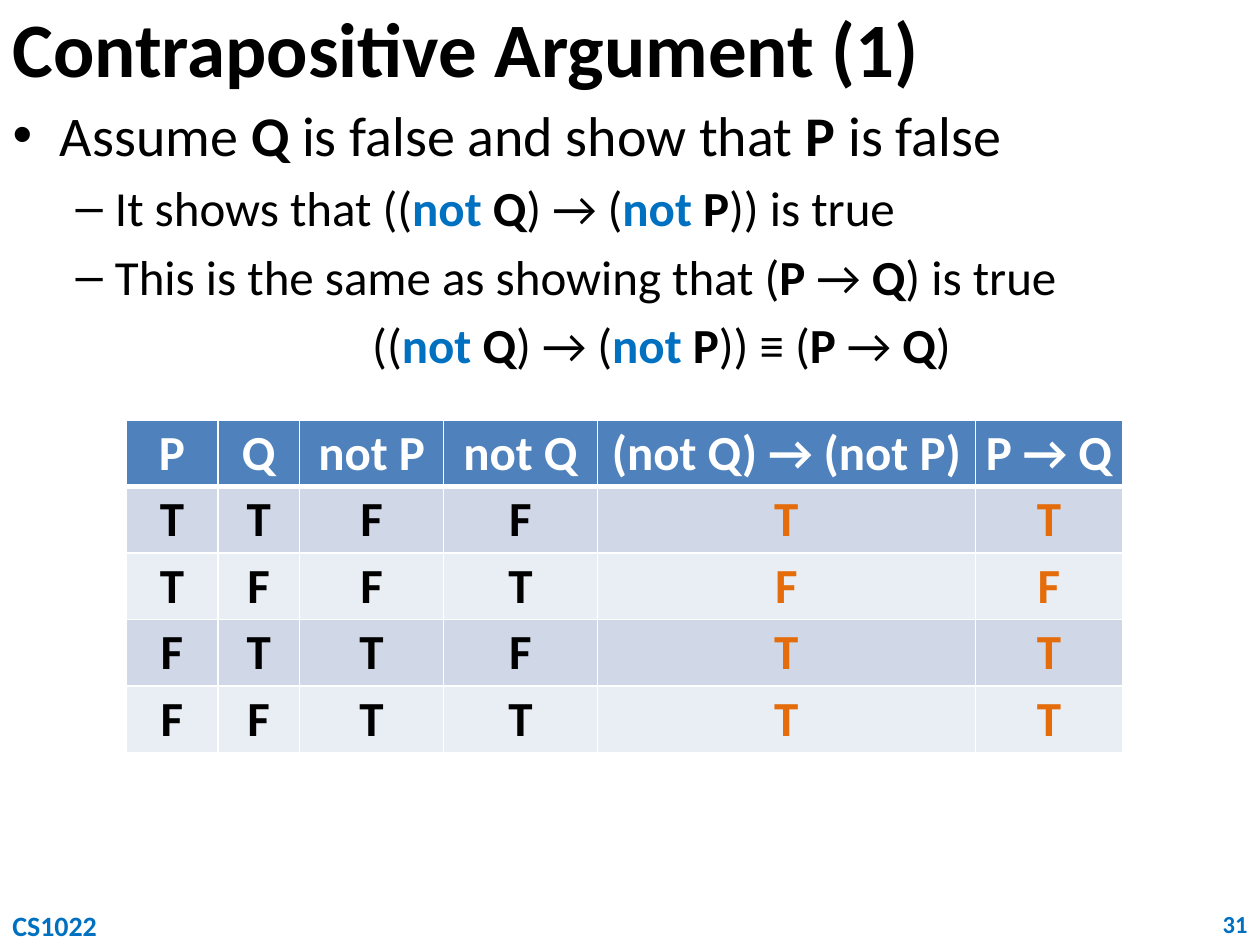
from lxml import etree
from pptx import Presentation
from pptx.dml.color import RGBColor
from pptx.enum.text import MSO_ANCHOR, MSO_AUTO_SIZE, PP_ALIGN
from pptx.oxml.ns import qn
from pptx.util import Cm, Pt

LEFT, CENTER, RIGHT = PP_ALIGN.LEFT, PP_ALIGN.CENTER, PP_ALIGN.RIGHT
MIDDLE = MSO_ANCHOR.MIDDLE
FIXED = MSO_AUTO_SIZE.NONE

BLACK = RGBColor(0x00, 0x00, 0x00)
WHITE = RGBColor(0xFF, 0xFF, 0xFF)
BLUE = RGBColor(0x00, 0x70, 0xC0)
ORANGE = RGBColor(0xE4, 0x6C, 0x0A)
HEADER = RGBColor(0x4F, 0x81, 0xBD)
BANDS = RGBColor(0xE9, 0xED, 0xF4), RGBColor(0xD0, 0xD8, 0xE8)

WIDTH, HEIGHT = 25.4, 19.05
CONTRA = ["((", "not ", "Q", ") → (", "not ", "P"]
IMPLIES = ["P", " → ", "Q"]
POINTS = [
    (0, ["Assume ", "Q", " is false and show that ", "P", " is false"]),
    (1, ["It shows that "] + CONTRA + [")) is true"]),
    (1, ["This is the same as showing that ("] + IMPLIES + [") is true"]),
    (1, CONTRA + [")) ≡ ("] + IMPLIES + [")"]),
]
TRUTH = [
    ["P", "Q", "not P", "not Q", "(not Q) → (not P)", "P → Q"],
    ["T", "T", "F", "F", "T", "T"],
    ["T", "F", "F", "T", "F", "F"],
    ["F", "T", "T", "F", "T", "T"],
    ["F", "F", "T", "T", "T", "T"],
]
COLUMNS = [1.85, 1.65, 2.9, 3.1, 7.62, 2.97]


class Deck:
    face = "Calibri"

    def __init__(self):
        self.show = Presentation()
        self.show.slide_width, self.show.slide_height = Cm(WIDTH), Cm(HEIGHT)
        self.slide = self.show.slides.add_slide(self.show.slide_layouts[1])

    def style(self, run, size, color, bold=True):
        font = run.font
        font.name, font.size, font.bold = self.face, Pt(size), bold
        font.color.rgb = color

    def letter(self, frame, text, size, color, align):
        frame.text = text
        para = frame.paragraphs[0]
        para.alignment = align
        self.style(para.runs[0], size, color)

    def place(self, shape, left, top, width, height):
        shape.left, shape.top = Cm(left), Cm(top)
        shape.width, shape.height = Cm(width), Cm(height)
        shape.text_frame.auto_size = FIXED

    def title(self, text):
        shape = self.slide.shapes.title
        self.place(shape, 0, 0, WIDTH, 1.9)
        shape.text_frame.vertical_anchor = MIDDLE
        self.letter(shape.text_frame, text, 44, BLACK, LEFT)

    def points(self, items):
        shape = self.slide.placeholders[1]
        self.place(shape, 0, 1.9, WIDTH, 16.3)
        frame = shape.text_frame
        for index, (level, parts) in enumerate(items):
            para = frame.add_paragraph() if index else frame.paragraphs[0]
            para.level = level
            for part in parts:
                run = para.add_run()
                run.text = part
                color = BLUE if part == "not " else BLACK
                self.style(run, 28 if level else 32, color, part in ("not ", "P", "Q"))
        frame.paragraphs[0].space_before = Pt(0)
        para.alignment = CENTER
        etree.SubElement(para._p.get_or_add_pPr(), qn("a:buNone"))

    def label(self, text, left, width, size, align):
        box = self.slide.shapes.add_textbox(Cm(left), Cm(18.2), Cm(width), Cm(0.85))
        box.text_frame.word_wrap = True
        self.letter(box.text_frame, text, size, BLUE, align)

    def border(self, cell, row):
        props = cell._tc.get_or_add_tcPr()
        for index, side in enumerate(("lnL", "lnR", "lnT", "lnB")):
            thick = (row, side) in ((0, "lnB"), (1, "lnT"))
            line = etree.Element(qn(f"a:{side}"), w=str(Pt(3 if thick else 1)))
            fill = etree.SubElement(line, qn("a:solidFill"))
            etree.SubElement(fill, qn("a:srgbClr"), val=str(WHITE))
            props.insert(index, line)

    def table(self, rows, widths, left, top, height):
        grid = self.slide.shapes.add_table(
            len(rows), len(widths), Cm(left), Cm(top),
            Cm(sum(widths)), Cm(height * len(rows))).table
        for col, width in zip(grid.columns, widths):
            col.width = Cm(width)
        for r, texts in enumerate(rows):
            grid.rows[r].height = Cm(height)
            for c, text in enumerate(texts):
                cell = grid.cell(r, c)
                cell.margin_left = cell.margin_right = Cm(0.1)
                cell.margin_top = cell.margin_bottom = 0
                cell.vertical_anchor = MIDDLE
                cell.fill.solid()
                cell.fill.fore_color.rgb = BANDS[r % 2] if r else HEADER
                color = WHITE if r == 0 else ORANGE if c > 3 else BLACK
                self.letter(cell.text_frame, text, 28, color, CENTER)
                self.border(cell, r)


def main():
    deck = Deck()
    deck.title("Contrapositive Argument (1)")
    deck.points(POINTS)
    deck.label("31", 24.33, 1.07, 14, RIGHT)
    deck.label("CS1022", 0, 2.34, 16, LEFT)
    deck.table(TRUTH, COLUMNS, 2.54, 8.47, 1.34)
    deck.show.save("out.pptx")


if __name__ == "__main__":
    main()
